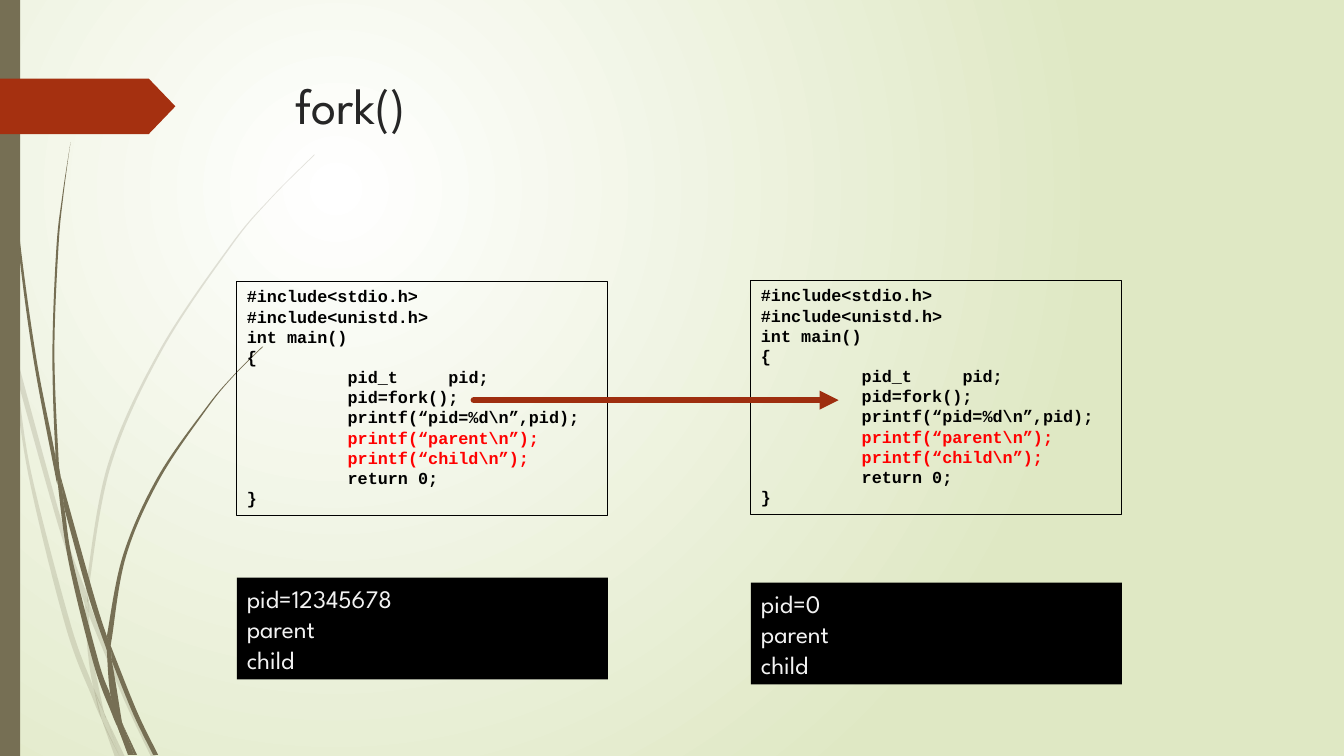
from pptx import Presentation
from pptx.util import Cm, Pt
from pptx.dml.color import RGBColor
from pptx.enum.shapes import MSO_SHAPE, MSO_CONNECTOR
from pptx.enum.text import MSO_ANCHOR, PP_ALIGN
from pptx.oxml.ns import qn
from lxml.etree import SubElement
from dataclasses import dataclass


@dataclass(frozen=True)
class Theme:
    olive: str = "766F54"
    rust: str = "A53010"
    arrow: str = "9E2E0F"
    title: str = "262626"
    black: str = "000000"
    red: str = "FF0000"
    output: str = "F2F2F2"
    glow: tuple = ("FFFFFF", "DFE8C4")
    sans: str = "League Spartan"
    mono: str = "Courier New"
    title_size: float = 36
    code_size: float = 12
    output_size: float = 18


T = Theme()

# ---- Content ----
TITLE = "fork()"
CODE = [
    "#include<stdio.h>", "#include<unistd.h>", "int main()", "{",
    "\tpid_t\tpid;", "\tpid=fork();", "\tprintf(“pid=%d\\n”,pid);",
    "\tprintf(“parent\\n”);", "\tprintf(“child\\n”);", "\treturn 0;", "}",
]
RED_LINES = {7, 8}
# Per process: left, code top, output top, printed pid
PROCESSES = [(2.35, 2.79, 5.73, "12345678"), (7.45, 2.78, 5.78, "0")]
PANEL_W, CODE_H, OUTPUT_H = 3.68, 2.32, 1.01

# Grass segments, each as its two edges from top to bottom
FAINT_GRASS = [
    ([(0, 2.82), (.09, 3.22), (.11, 3.5)], [(0, 2.99), (.1, 3.44), (.11, 3.5)]),
    ([(.14, 3.45), (.62, 5.2), (.85, 5.86)], [(.17, 3.76), (.58, 5.22), (.84, 5.99)]),
    ([(.88, 5.96), (.92, 6.07), (1.27, 6.92), (1.55, 7.51)],
     [(.88, 6.1), (1.23, 6.94), (1.5, 7.51)]),
    ([(1.05, 7.11), (1.24, 7.51)], [(1.05, 7.11), (1.19, 7.51)]),
    ([(.11, 3.5), (.17, 3.76), (.31, 4.69), (.7, 6.19), (.93, 6.83), (1.01, 7.14)],
     [(.11, 3.5), (.28, 4.7), (.65, 6.21), (.92, 6.93), (1.01, 7.14)]),
    ([(.84, 5.99), (.88, 6.1), (.91, 6.46), (1.03, 7.06), (1.05, 7.11)],
     [(.84, 5.99), (.87, 6.46), (.93, 6.83), (1.05, 7.11)]),
    ([(3.12, 1.53), (2.68, 1.97), (2.28, 2.44), (1.58, 3.48), (1.07, 4.61), (.85, 5.84)],
     [(3.12, 1.54), (2.68, 1.98), (2.29, 2.45), (1.6, 3.49), (1.1, 4.62),
      (.88, 5.84), (.88, 5.96)]),
    ([(1.01, 7.14), (1.19, 7.51)], [(1.01, 7.14), (1.14, 7.51)]),
    ([(.85, 5.86), (.88, 5.96), (.88, 6.1)], [(.84, 5.99), (.88, 6.08)]),
    ([(.93, 6.83), (1.05, 7.11), (1.19, 7.51)], [(.93, 6.83), (1.01, 7.14), (1.19, 7.51)]),
]
DARK_GRASS = [
    ([(.04, 0), (.08, 1.09), (.19, 2.32), (.36, 3.55), (.55, 4.53), (.57, 4.81)],
     [(.03, 0), (.07, 1.1), (.17, 2.33), (.33, 3.55), (.56, 4.77)]),
    ([(.6, 4.72), (.93, 5.9), (1.06, 6.31)], [(.64, 5.05), (.88, 5.92), (1.06, 6.45)]),
    ([(1.1, 6.41), (1.36, 7.06), (1.57, 7.49)], [(1.11, 6.56), (1.32, 7.08), (1.52, 7.49)]),
    ([(.57, 4.77), (.64, 5.05), (.72, 5.56), (.98, 6.57), (1.1, 6.91), (1.17, 7.22)],
     [(.57, 4.77), (.68, 5.57), (.93, 6.59), (1.11, 7.08), (1.17, 7.22)]),
    ([(.7, 1.41), (.63, 1.93), (.58, 2.45), (.54, 3.49), (.58, 4.53), (.6, 4.72)],
     [(.7, 1.41), (.62, 1.93), (.56, 2.45), (.52, 3.49), (.55, 4.49), (.6, 4.72)]),
    ([(1.22, 7.19), (1.36, 7.49)], [(1.22, 7.19), (1.33, 7.49)]),
    ([(.55, 4.49), (.6, 4.72), (.64, 5.05)], [(.55, 4.53), (.57, 4.77), (.64, 5.05)]),
    ([(2.6, 3.44), (2.31, 3.73), (2.04, 4.05), (1.56, 4.74), (1.22, 5.51), (1.06, 6.31)],
     [(2.61, 3.44), (2.31, 3.74), (2.05, 4.06), (1.58, 4.76), (1.25, 5.52),
      (1.11, 6.33), (1.1, 6.41)]),
    ([(1.17, 7.22), (1.31, 7.49)], [(1.17, 7.22), (1.27, 7.49)]),
    ([(1.06, 6.45), (1.11, 6.56), (1.21, 7.16), (1.22, 7.19)],
     [(1.06, 6.45), (1.1, 6.91), (1.22, 7.19)]),
    ([(1.06, 6.31), (1.1, 6.41), (1.11, 6.56)], [(1.06, 6.45), (1.11, 6.56)]),
    ([(1.1, 6.91), (1.22, 7.19), (1.33, 7.49)], [(1.1, 6.91), (1.17, 7.22), (1.3, 7.49)]),
]


# ---- Helpers ----
def u(inches):
    return Cm(inches * 2.54)


def paint(s, fill=None, line=None, alpha=None):
    s.shadow.inherit = False
    if fill:
        s.fill.solid()
        s.fill.fore_color.rgb = RGBColor.from_string(fill)
        if alpha:
            color = s.fill._xPr.find(".//" + qn("a:srgbClr"))
            SubElement(color, qn("a:alpha"), val=str(alpha * 1000))
    else:
        s.fill.background()
    if line:
        s.line.color.rgb = RGBColor.from_string(line)
        s.line.width = Pt(.75)
    else:
        s.line.fill.background()
    return s


def box(x, y, w, h, kind=MSO_SHAPE.RECTANGLE, **look):
    return paint(shapes.add_shape(kind, u(x), u(y), u(w), u(h)), **look)


def write(s, text, size, font, color, bold=False, spacing=None, accents=(), tabs=()):
    tf = s.text_frame
    tf.word_wrap = True
    tf.vertical_anchor = MSO_ANCHOR.TOP
    for i, line in enumerate(text.split("\n")):
        p = tf.paragraphs[0] if i == 0 else tf.add_paragraph()
        p.alignment, p.line_spacing = PP_ALIGN.LEFT, Pt(spacing)
        if tabs:
            stops = SubElement(p._p.get_or_add_pPr(), qn("a:tabLst"))
            for tab in tabs:
                SubElement(stops, qn("a:tab"), pos=str(u(tab)), algn="l")
        r = p.add_run()
        r.text = line
        r.font.name, r.font.size, r.font.bold = font, Pt(size), bold
        r.font.color.rgb = RGBColor.from_string(T.red if i in accents else color)


def grass(edge, back, alpha=None):
    """Closed outline whose two edges are smooth cubic curves."""
    outline = [(x * 1000, y * 1000) for x, y in edge + back[::-1]]
    fb = shapes.build_freeform(*outline[0], scale=u(1) / 1000)
    fb.add_line_segments(outline[1:], close=True)
    s = paint(fb.convert_to_shape(), fill=T.olive, alpha=alpha)
    nodes = list(s._element.iter(qn("a:pt")))[:len(outline)]
    pts = [(int(n.get("x")), int(n.get("y"))) for n in nodes]
    for part in (range(len(edge)), range(len(edge), len(pts))):
        for i in part[1:]:
            a, b = pts[max(i - 2, part[0])], pts[i - 1]
            c, d = pts[i], pts[min(i + 1, part[-1])]
            seg = nodes[i].getparent()
            seg.tag = qn("a:cubicBezTo")
            for start, end, base, sign in ((a, c, b, 1), (b, d, c, -1)):
                x, y = (round(m + sign * (q - p) / 6) for p, q, m in zip(start, end, base))
                nodes[i].addprevious(SubElement(seg, qn("a:pt"), x=str(x), y=str(y)))


# ---- Slide and background glow ----
prs = Presentation()
prs.slide_width, prs.slide_height = u(13.333), u(7.5)
slide = prs.slides.add_slide(prs.slide_layouts[6])
shapes = slide.shapes
fill = slide.background.fill
fill.gradient()
for stop, color in zip(fill.gradient_stops, T.glow):
    stop.color.rgb = RGBColor.from_string(color)
grad = slide.element.find(".//" + qn("a:gradFill"))
grad.remove(grad.find(qn("a:lin")))
glow = SubElement(grad, qn("a:path"), path="circle")
SubElement(glow, qn("a:fillToRect"), l="50000", t="50000", r="100000", b="100000")

# ---- Decoration ----
for segments, alpha in ((FAINT_GRASS, 20), (DARK_GRASS, None)):
    for edges in segments:
        grass(*edges, alpha=alpha)
box(0, 0, .2, 7.5, fill=T.olive)
box(0, .78, 1.74, .55, MSO_SHAPE.PENTAGON, fill=T.rust).adjustments[0] = .48

# ---- Title, then code and output of each process ----
write(shapes.add_textbox(u(2.83), u(.68), u(9.75), u(1.4)), TITLE,
      T.title_size, T.sans, T.title, spacing=44)
for x, code_y, output_y, pid in PROCESSES:
    write(box(x, code_y, PANEL_W, CODE_H, line=T.black), "\n".join(CODE), T.code_size,
          T.mono, T.black, bold=True, spacing=14.4, accents=RED_LINES, tabs=(1, 2))
    write(box(x, output_y, PANEL_W, OUTPUT_H, fill=T.black), f"pid={pid}\nparent\nchild",
          T.output_size, T.sans, T.output, spacing=21.8)

# ---- Arrow from parent to child ----
arrow = shapes.add_connector(MSO_CONNECTOR.STRAIGHT, u(4.7), u(3.97), u(8.32), u(3.97))
arrow.line.color.rgb = RGBColor.from_string(T.arrow)
arrow.line.width = Pt(4.5)
ln = arrow.line._get_or_add_ln()
ln.set("cap", "rnd")
SubElement(ln, qn("a:tailEnd"), type="triangle")
SubElement(arrow._element.spPr, qn("a:effectLst"))
prs.save("out.pptx")
